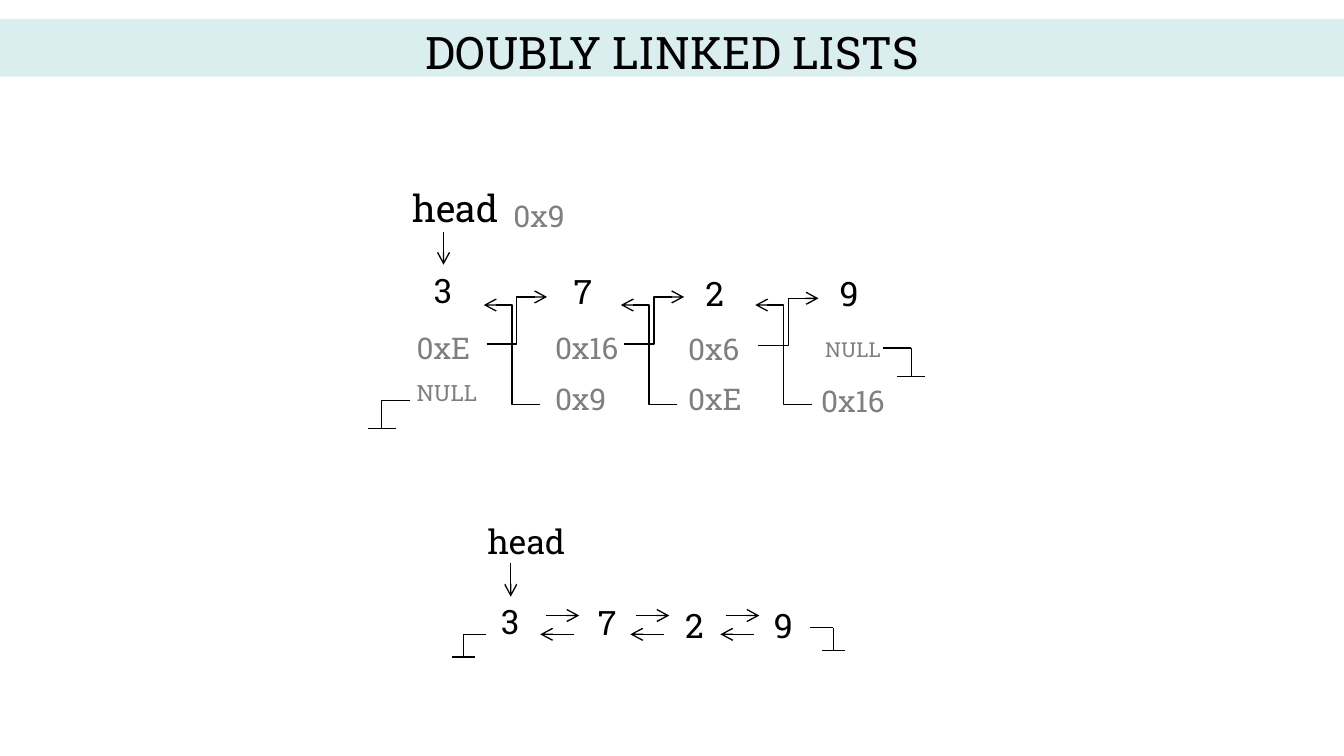
from pptx import Presentation
from pptx.dml.color import RGBColor
from pptx.enum.shapes import MSO_CONNECTOR
from pptx.enum.text import MSO_ANCHOR, PP_ALIGN
from pptx.oxml.ns import qn
from pptx.util import Inches, Pt
from lxml.etree import SubElement

HUES = {"ink": "000000", "gray": "7F7F7F", "band": "DAEDEF"}
FACE = "Roboto Slab"
VALUES = "3729"


def hue(name):
    return RGBColor.from_string(HUES[name])


def style(item, values):
    for name, value in values.items():
        setattr(item, name, value)


def write(frame, text, size, color, pads):
    """Fill a text frame; pads are left, top, right, bottom."""
    sides = ("margin_left", "margin_top", "margin_right", "margin_bottom")
    style(frame, dict(zip(sides, map(Inches, pads))))
    frame.word_wrap = True
    line = frame.paragraphs[0]
    run = line.add_run()
    run.text = text
    style(run.font, {"name": FACE, "size": Pt(size)})
    run.font.color.rgb = hue(color)
    return line


def word(slide, x, y, text, size=18, wide=0.33):
    box = slide.shapes.add_textbox(*map(Inches, (x, y, wide, 0.48)))
    write(box.text_frame, text, size, "ink", (0.1, 0.05, 0.1, 0.05))


def label(slide, x, y, text, size=16):
    box = slide.shapes.add_textbox(*map(Inches, (x, y, 0.53, 0.32)))
    write(box.text_frame, text, size, "gray", (0, 0.05, 0, 0.05))


def link(shapes, x1, y1, x2, y2, bent=False, arrow=True):
    kind = MSO_CONNECTOR.ELBOW if bent else MSO_CONNECTOR.STRAIGHT
    line = shapes.add_connector(kind, *map(Inches, (x1, y1, x2, y2)))
    line.line.width = Pt(0.75)
    line.line.color.rgb = hue("ink")
    props = line._element.spPr
    if arrow:
        SubElement(props.find(qn("a:ln")), qn("a:tailEnd"), type="arrow")
    SubElement(props, qn("a:effectLst"))


def ground(slide, x, y, size):
    """Null mark; a negative size makes it run to the left."""
    parts = slide.shapes.add_group_shape().shapes
    low = y + abs(size)
    for ends in ((x, y, x + size, y),
                 (x + size / 2, low, x + size * 1.5, low),
                 (x + size, y, x + size, low)):
        link(parts, *ends, arrow=False)


def banner(slide, x, y, wide, high):
    title = slide.shapes.title
    style(title, dict(zip(("left", "top", "width", "height"),
                          map(Inches, (x, y, wide, high)))))
    title.fill.solid()
    title.fill.fore_color.rgb = hue("band")
    title.text_frame.vertical_anchor = MSO_ANCHOR.MIDDLE
    line = write(title.text_frame, "DOUBLY LINKED LISTS", 24, "ink",
                 (0.1, 0.06, 0.1, 0))
    style(line, {"alignment": PP_ALIGN.CENTER, "space_before": Pt(0)})


def memory(slide, x, y):
    """List with the addresses that each node holds."""
    word(slide, x + 0.23, y, "head", 20, 1.02)
    label(slide, x + 1.08, y + 0.09, "0x9")
    link(slide.shapes, x + 0.56, y + 0.4, x + 0.56, y + 0.64)

    # Node values
    spots = ((0.39, 0.63), (1.43, 0.64), (2.41, 0.65), (3.41, 0.65))
    for value, (dx, dy) in zip(VALUES, spots):
        word(slide, x + dx, y + dy, value)

    # Next addresses, then previous addresses
    for dx, dy, text, size in (
            (0.36, 1.07, "0xE", 16), (1.39, 1.07, "0x16", 16),
            (2.38, 1.08, "0x6", 16), (3.4, 1.13, "NULL", 11),
            (0.36, 1.44, "NULL", 12), (1.39, 1.45, "0x9", 16),
            (2.38, 1.45, "0xE", 16), (3.37, 1.47, "0x16", 16)):
        label(slide, x + dx, y + dy, text, size)

    # Bent arrows forward and back
    for dx, dy in ((1.28, 1.23), (2.3, 1.23), (3.3, 1.24)):
        right, low = x + dx, y + dy
        link(slide.shapes, right - 0.4, low, right + 0.05, low - 0.35, True)
        link(slide.shapes, right, y + 1.68, right - 0.42, y + 0.94, True)

    ground(slide, x + 3.83, y + 1.26, 0.21)
    ground(slide, x + 0.31, y + 1.65, -0.21)


def compact(slide, x, y):
    """List with plain arrows between the nodes."""
    word(slide, x + 0.16, y, "head", wide=4.1)
    link(slide.shapes, x + 0.43, y + 0.36, x + 0.43, y + 0.61)

    spots = ((0.26, 0.59), (0.98, 0.6), (1.63, 0.62), (2.29, 0.62))
    for value, (dx, dy) in zip(VALUES, spots):
        word(slide, x + dx, y + dy, value)

    # Arrow pairs at an even pitch
    for step in range(3):
        left = x + 0.65 + step * 0.67
        link(slide.shapes, left + 0.04, y + 0.75, left + 0.29, y + 0.75)
        link(slide.shapes, left + 0.25, y + 0.89, left, y + 0.89)

    ground(slide, x + 2.66, y + 0.84, 0.17)
    ground(slide, x + 0.25, y + 0.89, -0.17)


def main():
    deck = Presentation()
    # A 16:9 page
    wide = Inches(10)
    style(deck, {"slide_width": wide, "slide_height": wide * 9 // 16})
    slide = deck.slides.add_slide(deck.slide_layouts[5])
    banner(slide, 0, 0.14, 10, 0.43)
    memory(slide, 2.74, 1.33)
    compact(slide, 3.37, 3.83)
    deck.save("out.pptx")


if __name__ == "__main__":
    main()
